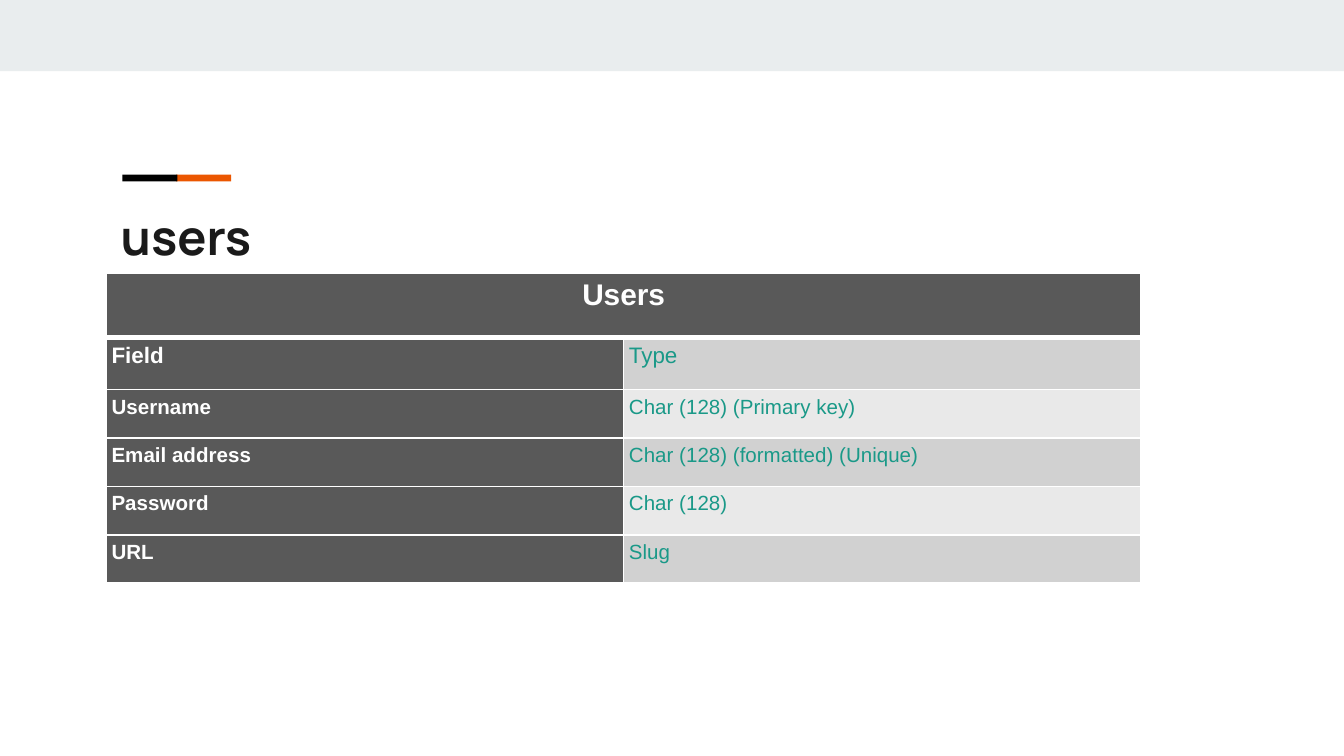
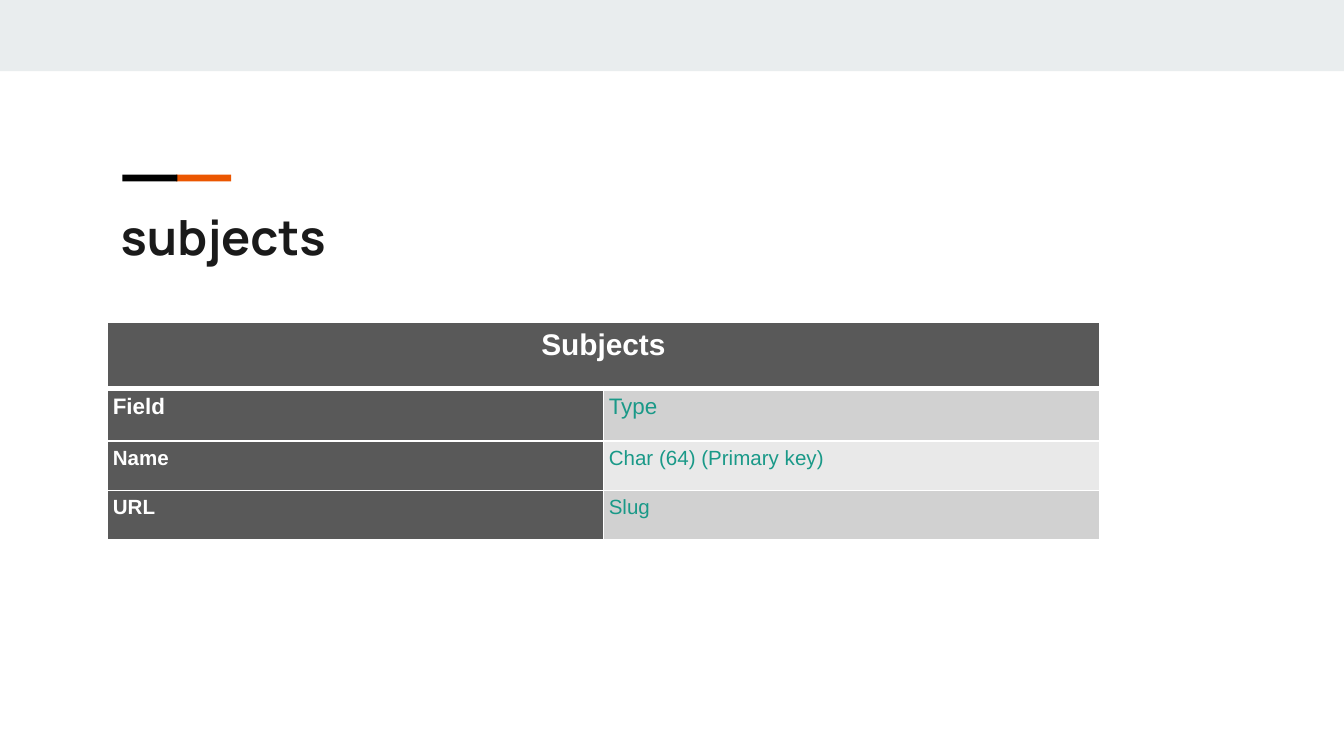
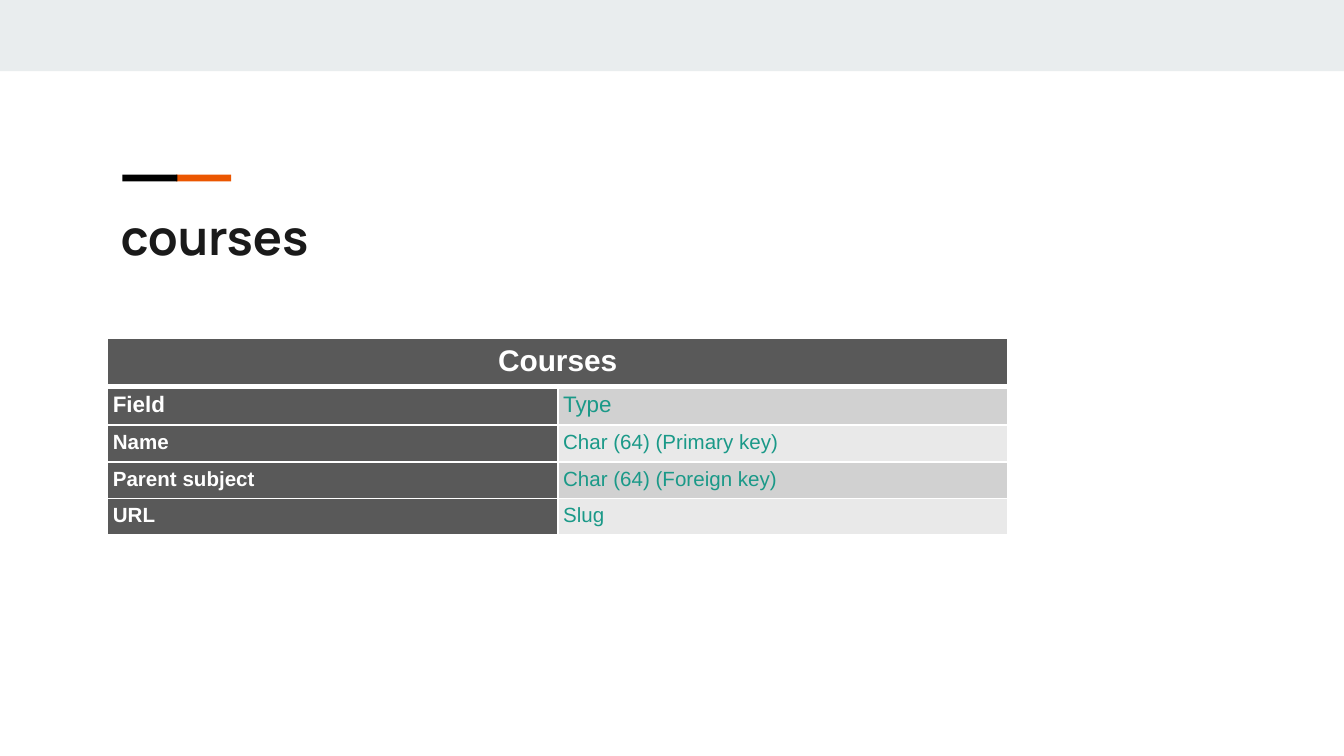
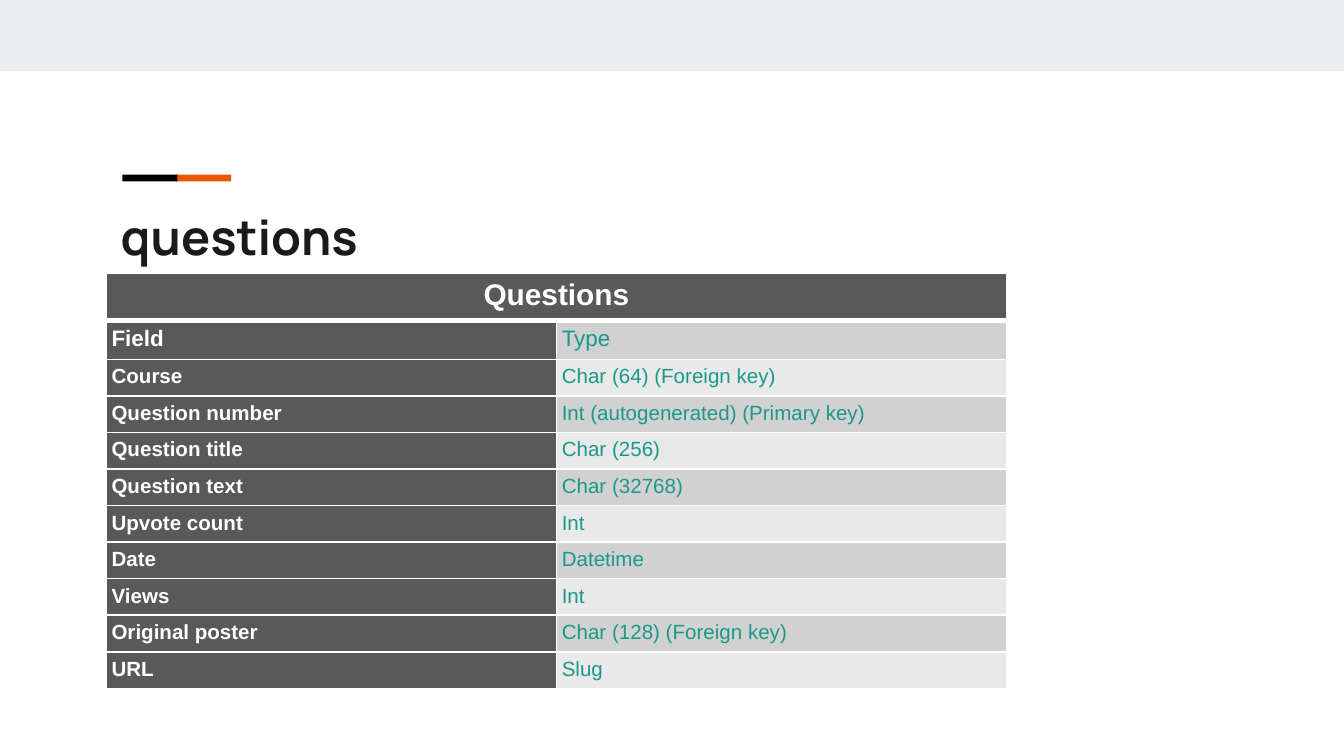
from lxml import etree
from pptx import Presentation
from pptx.dml.color import RGBColor
from pptx.enum import shapes, text
from pptx.oxml import ns
from pptx.util import Inches, Pt

# Content: each table has a place, a column width and its fields
TABLES = [
    dict(title="users", left=0.79, top=2.03, col=3.85, heights=(0.48, 0.39, 0.36), fields=[
        ("Username", "Char (128) (Primary key)"),
        ("Email address", "Char (128) (formatted) (Unique)"),
        ("Password", "Char (128)"),
        ("URL", "Slug"),
    ]),
    dict(title="subjects", left=0.8, top=2.4, col=3.69, heights=(0.49, 0.39, 0.37), fields=[
        ("Name", "Char (64) (Primary key)"),
        ("URL", "Slug"),
    ]),
    dict(title="courses", left=0.8, top=2.52, col=3.35, heights=(0.34, 0.28, 0.27), fields=[
        ("Name", "Char (64) (Primary key)"),
        ("Parent subject", "Char (64) (Foreign key)"),
        ("URL", "Slug"),
    ]),
    dict(title="questions", left=0.79, top=2.03, col=3.35, heights=(0.34, 0.28, 0.27), fields=[
        ("Course", "Char (64) (Foreign key)"),
        ("Question number", "Int (autogenerated) (Primary key)"),
        ("Question title", "Char (256)"),
        ("Question text", "Char (32768)"),
        ("Upvote count", "Int"),
        ("Date", "Datetime"),
        ("Views", "Int"),
        ("Original poster", "Char (128) (Foreign key)"),
        ("URL", "Slug"),
    ]),
]

# Shared look
WIDTH = 10
HEIGHT = WIDTH * 9 / 16
WHITE, BLACK, INK = "FFFFFF", "000000", "1A1A1A"
BAND, ORANGE, TEAL = "E9EDEE", "EB5600", "1A9988"
DARK, STRIPES = "595959", ("D1D1D1", "E9E9E9")
DECOR = [  # left, top, width, height, colour
    (0, 0, WIDTH, 0.53, BAND),
    (1.31, 1.3, 0.41, 0.05, ORANGE),
    (0.91, 1.3, 0.41, 0.05, BLACK),
]
THIN, THICK = 0.96, 3


def rgb(color):
    return RGBColor.from_string(color)


def write(tf, words, size, color, font="Arial", bold=True, align=None):
    tf.word_wrap = True
    p = tf.paragraphs[0]
    p.alignment = align
    r = p.add_run()
    r.text = words
    r.font.name, r.font.size, r.font.bold = font, Pt(size), bold
    r.font.color.rgb = rgb(color)


def set_insets(box, x, y):
    box.margin_left = box.margin_right = x
    box.margin_top = box.margin_bottom = y


def set_borders(cell, top=THIN, bottom=THIN):
    tcPr = cell._tc.get_or_add_tcPr()
    for side, width in (("L", THIN), ("R", THIN), ("T", top), ("B", bottom)):
        ln = etree.SubElement(tcPr, ns.qn("a:ln" + side), w=str(int(Pt(width))))
        fill = etree.SubElement(ln, ns.qn("a:solidFill"))
        etree.SubElement(fill, ns.qn("a:srgbClr"), val=WHITE)


def style_cell(cell, fill, top=THIN, bottom=THIN):
    set_insets(cell, Inches(0.04), Pt(3.2))
    set_borders(cell, top, bottom)
    cell.fill.solid()
    cell.fill.fore_color.rgb = rgb(fill)


def add_base(prs, title):
    s = prs.slides.add_slide(prs.slide_layouts[6])
    s.background.fill.solid()
    s.background.fill.fore_color.rgb = rgb(WHITE)
    for *place, color in DECOR:
        sp = s.shapes.add_shape(shapes.MSO_SHAPE.RECTANGLE, *map(Inches, place))
        sp.shadow.inherit = False
        sp.fill.solid()
        sp.fill.fore_color.rgb = rgb(color)
        sp.line.fill.background()
    tf = s.shapes.add_textbox(*map(Inches, (0.8, 1.44, 8.41, 0.59))).text_frame
    set_insets(tf, Inches(0.1), Inches(0.1))
    write(tf, title, 26, INK, font="Manrope")
    return s


def add_fields(s, title, left, top, col, heights, fields):
    rows = [("Field", "Type")] + fields
    name_h, head_h, field_h = heights
    row_heights = [name_h, head_h] + [field_h] * len(fields)
    table = s.shapes.add_table(len(row_heights), 2, Inches(left), Inches(top),
                               Inches(2 * col), Inches(sum(row_heights))).table
    for column in table.columns:
        column.width = Inches(col)
    for row, height in zip(table.rows, row_heights):
        row.height = Inches(height)

    # Name of the table across both columns
    for cell in table.rows[0].cells:
        style_cell(cell, DARK, bottom=THICK)
    table.cell(0, 0).merge(table.cell(0, 1))
    write(table.cell(0, 0).text_frame, title.capitalize(), 16, WHITE,
          align=text.PP_ALIGN.CENTER)

    # Field names on the left, striped types on the right
    for i, (field, kind) in enumerate(rows):
        size, edge = (11, THIN) if i else (12, THICK)
        name_cell, type_cell = table.rows[i + 1].cells
        style_cell(name_cell, DARK, top=edge)
        style_cell(type_cell, STRIPES[i % 2], top=edge)
        write(name_cell.text_frame, field, size, WHITE)
        write(type_cell.text_frame, kind, size, TEAL, bold=False)


def main():
    prs = Presentation()
    prs.slide_width, prs.slide_height = Inches(WIDTH), Inches(HEIGHT)
    for entry in TABLES:
        add_fields(add_base(prs, entry["title"]), **entry)
    prs.save("out.pptx")


if __name__ == "__main__":
    main()
